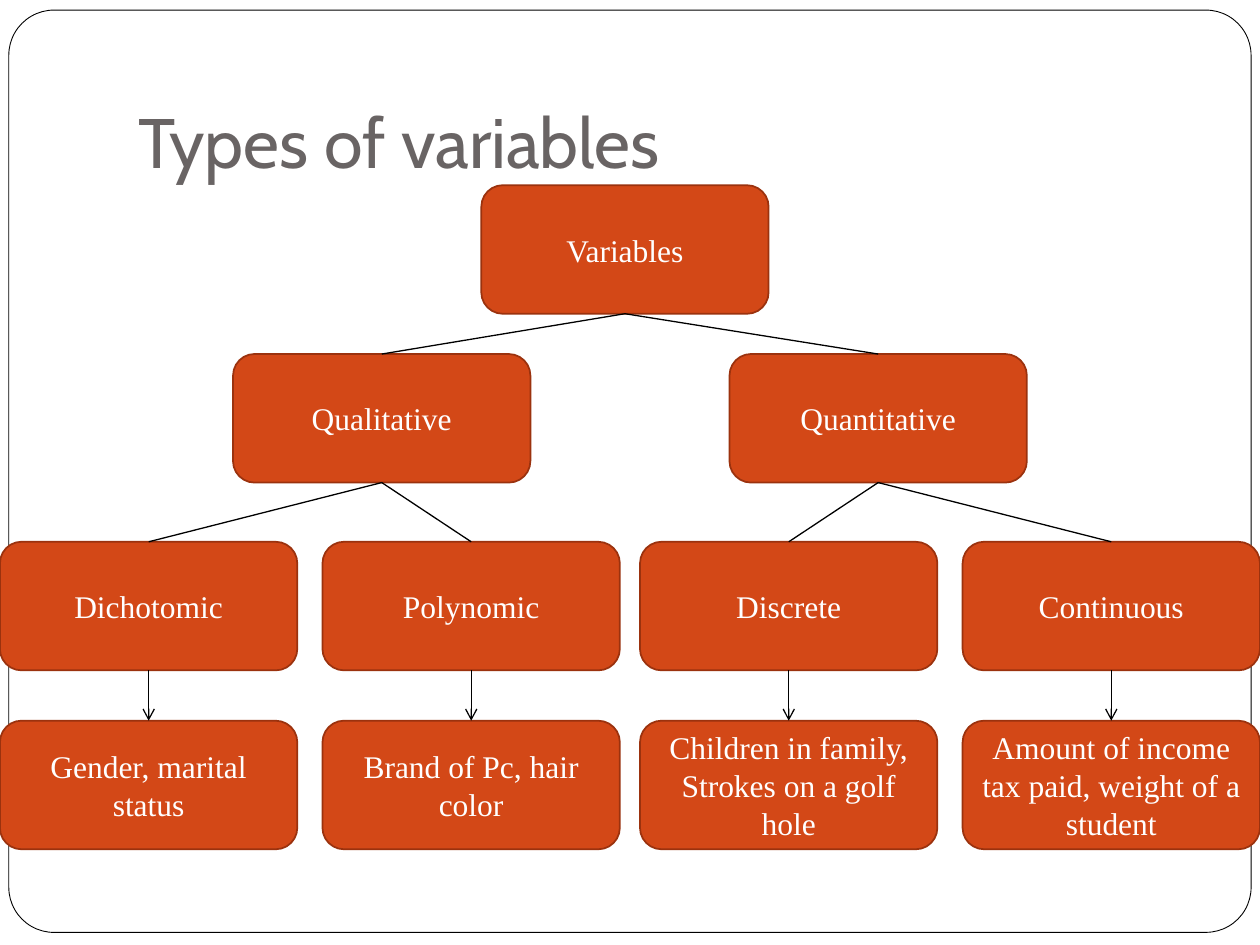
from pptx import Presentation
from pptx.dml.color import RGBColor
from pptx.enum.shapes import MSO_CONNECTOR as Link, MSO_SHAPE as Kind
from pptx.enum.text import MSO_ANCHOR as Anchor, PP_ALIGN as Align
from pptx.oxml.ns import qn
from pptx.util import Inches, Pt
from lxml.etree import SubElement

COLS, ROWS = 100, 75
TOP, BASE = 0, 2  # connection sites of a rounded box


def tint(code):
    return RGBColor.from_string(code)


class Board:
    """Style and current slide; lengths are columns and rows of the grid."""
    fill, edge, ink, head = "D34817", "9B320E", "000000", "696464"
    light, body, face = "FFFFFF", "Times New Roman", "Cabin"
    wide, high = 23.6, 10.2

    def __init__(self, deck):
        self.slide = deck.slides.add_slide(deck.slide_layouts[6])
        self.shapes = self.slide.shapes
        self.col = deck.slide_width / COLS
        self.row = deck.slide_height / ROWS

    def area(self, x, y, w, h):
        return [round(n) for n in (x * self.col, y * self.row,
                                   w * self.col, h * self.row)]

    def panel(self, x, y, w, h, fill, edge, width, bend):
        shape = self.shapes.add_shape(Kind.ROUNDED_RECTANGLE,
                                      *self.area(x, y, w, h))
        shape.shadow.inherit = False
        shape.adjustments[0] = bend
        shape.fill.solid()
        shape.fill.fore_color.rgb = tint(fill)
        shape.line.color.rgb = tint(edge)
        shape.line.width = Pt(width)
        return shape

    def label(self, shape, text, size, font, color, align, anchor):
        frame = shape.text_frame
        frame.word_wrap = True
        frame.vertical_anchor = anchor
        para = frame.paragraphs[0]
        para.text = text
        para.alignment = align
        para.font.size = Pt(size)
        para.font.name = font
        para.font.color.rgb = tint(color)
        return frame

    def title(self, text, x, y, w, h):
        box = self.shapes.add_textbox(*self.area(x, y, w, h))
        frame = self.label(box, text, 40, self.face, self.head,
                           Align.LEFT, Anchor.BOTTOM)
        frame.margin_bottom = Inches(0.1)

    def node(self, text, mid, y, w=wide):
        """Add a box centred on column mid."""
        box = self.panel(mid - w / 2, y, w, self.high,
                         self.fill, self.edge, 1, 0.167)
        self.label(box, text, 18, self.body, self.light,
                   Align.CENTER, Anchor.MIDDLE)
        return box

    def join(self, upper, lower, arrow=False):
        link = self.shapes.add_connector(Link.STRAIGHT, 0, 0, 0, 0)
        link.begin_connect(upper, BASE)
        link.end_connect(lower, TOP)
        link.line.color.rgb = tint(self.ink)
        link.line.width = Pt(0.75)
        props = link.element.spPr
        if arrow:
            SubElement(props.find(qn("a:ln")), qn("a:tailEnd"), type="arrow")
        SubElement(props, qn("a:effectLst"))


TREE = [
    ("Qualitative", 30.3, [
        ("Dichotomic", 11.8, "Gender, marital status"),
        ("Polynomic", 37.4, "Brand of Pc, hair color")]),
    ("Quantitative", 69.7, [
        ("Discrete", 62.6, "Children in family, Strokes on a golf hole"),
        ("Continuous", 88.2,
         "Amount of income tax paid, weight of a student")]),
]


def main():
    deck = Presentation()
    deck.slide_width, deck.slide_height = Inches(10), Inches(7.5)
    board = Board(deck)
    board.panel(0.7, 0.8, 98.6, 73.2, board.light, board.ink, 0.5, 0.049)
    board.title("Types of variables", 10, 3, 85, 12.5)
    root = board.node("Variables", 49.6, 14.7, 22.8)
    for name, mid, kinds in TREE:
        group = board.node(name, mid, 28.1)
        board.join(root, group)
        for text, spot, sample in kinds:
            kind = board.node(text, spot, 43)
            case = board.node(sample, spot, 57.2)
            board.join(group, kind)
            board.join(kind, case, arrow=True)
    deck.save("out.pptx")


if __name__ == "__main__":
    main()
